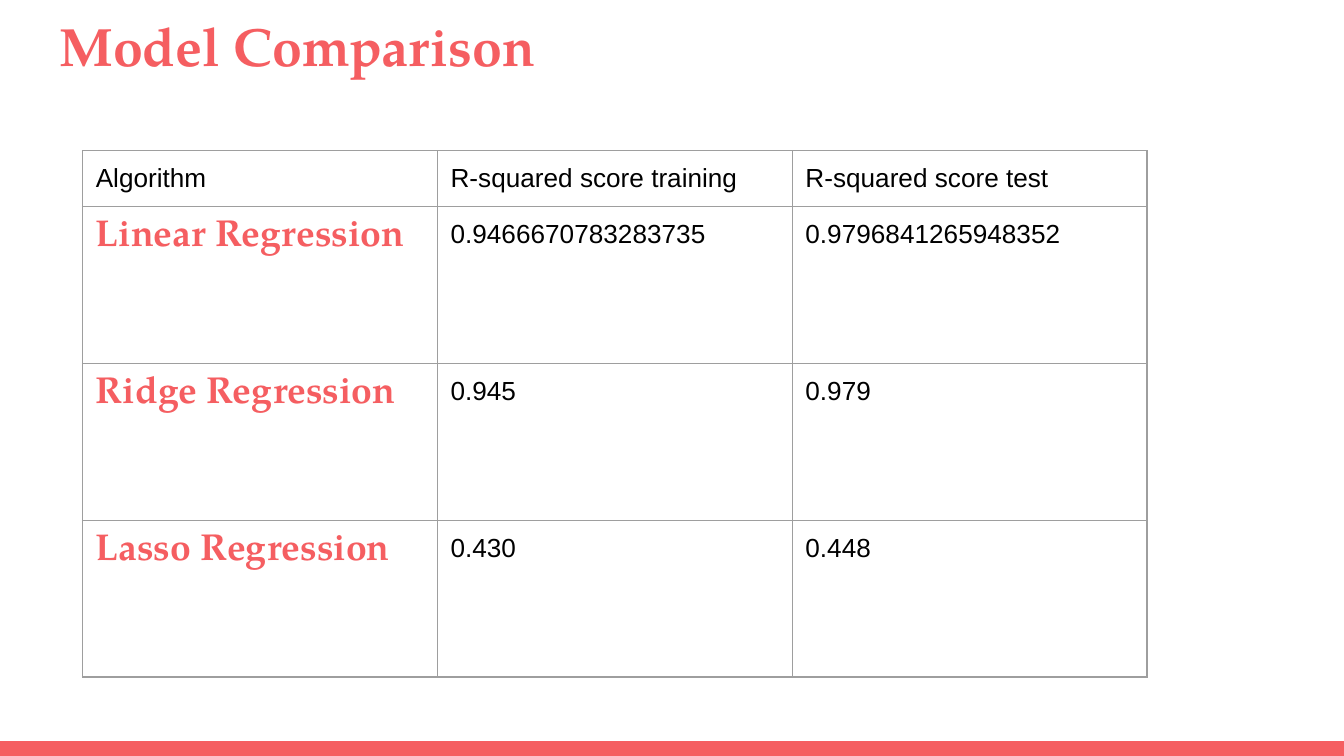
import pptx
import pptx.dml.color
import pptx.enum.shapes
import pptx.enum.text
import pptx.oxml.ns
import pptx.util
from lxml import etree
from pptx.util import Cm

CORAL = pptx.dml.color.RGBColor(0xF5, 0x5E, 0x61)
BLACK = pptx.dml.color.RGBColor(0x00, 0x00, 0x00)
GREY = pptx.dml.color.RGBColor(0x9E, 0x9E, 0x9E)
SERIF = "TeX Gyre Pagella"
SANS = "Arial"
INSET = Cm(0.25)
BORDER_WIDTH = pptx.util.Pt(0.75)

SCORES = [
    ("Algorithm", "R-squared score training", "R-squared score test"),
    ("Linear Regression", "0.9466670783283735", "0.9796841265948352"),
    ("Ridge Regression", "0.945", "0.979"),
    ("Lasso Regression", "0.430", "0.448"),
]


def style_text(paragraph, name, size, color, bold):
    """Format a left-aligned paragraph."""
    paragraph.alignment = pptx.enum.text.PP_ALIGN.LEFT
    font = paragraph.font
    font.name, font.size, font.bold = name, pptx.util.Pt(size), bold
    font.color.rgb = color


def set_insets(holder):
    """Give a cell or text frame equal margins on all sides."""
    holder.margin_left = holder.margin_right = INSET
    holder.margin_top = holder.margin_bottom = INSET


def add_borders(cell):
    """Draw a thin grey line on every side of a cell."""
    qn = pptx.oxml.ns.qn
    properties = cell._tc.get_or_add_tcPr()
    for side in ("a:lnL", "a:lnR", "a:lnT", "a:lnB"):
        line = etree.SubElement(properties, qn(side), w=str(BORDER_WIDTH))
        fill = etree.SubElement(line, qn("a:solidFill"))
        etree.SubElement(fill, qn("a:srgbClr"), val=str(GREY))


def place_title(slide, left, top, width, height):
    """Move and format the slide title."""
    title = slide.shapes.title
    title.left, title.top, title.width, title.height = left, top, width, height
    frame = title.text_frame
    frame.text = "Model Comparison"
    frame.auto_size = pptx.enum.text.MSO_AUTO_SIZE.NONE
    frame.vertical_anchor = pptx.enum.text.MSO_ANCHOR.TOP
    set_insets(frame)
    style_text(frame.paragraphs[0], SERIF, 28.8, CORAL, True)


def add_footer_bar(slide, left, top, width, height):
    """Add the coloured strip along the bottom edge."""
    bar = slide.shapes.add_shape(
        pptx.enum.shapes.MSO_SHAPE.RECTANGLE, left, top, width, height)
    bar.shadow.inherit = False
    bar.fill.solid()
    bar.fill.fore_color.rgb = CORAL
    bar.line.fill.background()


def add_score_table(slide, left, top, width, height, header_height):
    """Add the table of scores, with equal columns and equal body rows."""
    table = slide.shapes.add_table(
        len(SCORES), len(SCORES[0]), left, top, width, height).table
    table.first_row = table.horz_banding = False
    body_height = (height - header_height) // (len(SCORES) - 1)
    for row_index, values in enumerate(SCORES):
        table.rows[row_index].height = body_height if row_index else header_height
        for column_index, value in enumerate(values):
            cell = table.cell(row_index, column_index)
            cell.text = value
            set_insets(cell)
            add_borders(cell)
            cell.fill.background()
            paragraph = cell.text_frame.paragraphs[0]
            if row_index and not column_index:
                style_text(paragraph, SERIF, 20, CORAL, True)
            else:
                style_text(paragraph, SANS, 14, BLACK, False)


def main():
    """Build and save the slide."""
    deck = pptx.Presentation()
    deck.slide_width, deck.slide_height = Cm(25.4), Cm(14.29)
    slide = deck.slides.add_slide(deck.slide_layouts[5])
    bar_height = Cm(0.28)
    add_footer_bar(slide, 0, deck.slide_height - bar_height,
                   deck.slide_width, bar_height)
    place_title(slide, Cm(0.87), 0, Cm(23.67), Cm(1.73))
    add_score_table(slide, Cm(1.56), Cm(2.85), Cm(20.12), Cm(9.75), Cm(0.86))
    deck.save("out.pptx")


if __name__ == "__main__":
    main()
